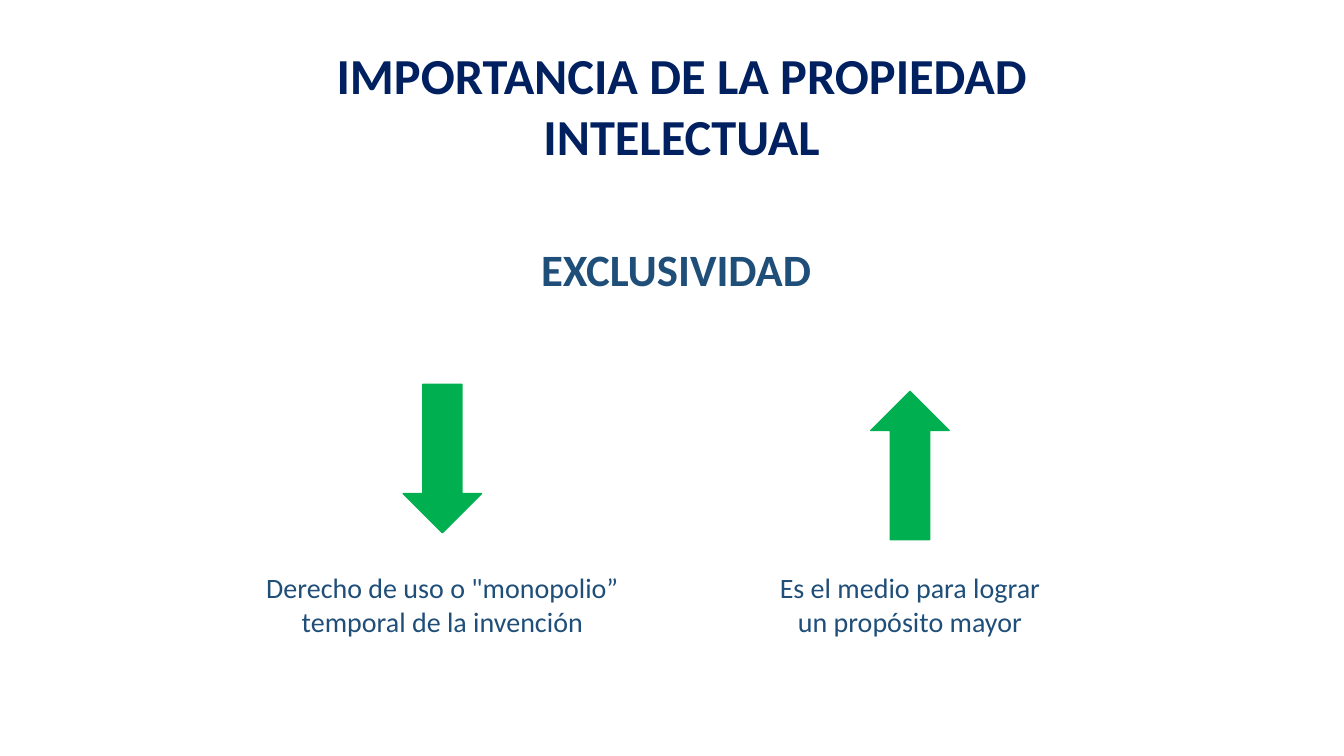
from dataclasses import dataclass

from pptx import Presentation
from pptx.dml.color import RGBColor
from pptx.enum.shapes import MSO_SHAPE
from pptx.enum.text import MSO_ANCHOR, PP_ALIGN
from pptx.util import Pt


@dataclass(frozen=True)
class Theme:
    font: str = "Calibri"
    navy: RGBColor = RGBColor(0x00, 0x20, 0x60)
    blue: RGBColor = RGBColor(0x1F, 0x4E, 0x79)
    green: RGBColor = RGBColor(0x00, 0xB0, 0x50)
    title_size: int = 36
    heading_size: int = 32
    body_size: int = 20


THEME = Theme()
ARROW_WIDTH, ARROW_HEIGHT = 56, 106
CAPTION_TOP, CAPTION_HEIGHT = 404, 55.5

# Centre, arrow top, arrow rotation, caption width, caption
IDEAS = [
    (316, 274.5, 0, 274, 'Derecho de uso o "monopolio” temporal de la invención'),
    (650, 279.5, 180, 209, "Es el medio para lograr un propósito mayor"),
]


def place(shape, left, top, width, height):
    box = {"left": left, "top": top, "width": width, "height": height}
    for name, value in box.items():
        setattr(shape, name, Pt(value))


def write_centred(shape, text, size, color, bold=False):
    frame = shape.text_frame
    frame.word_wrap = True
    frame.vertical_anchor = MSO_ANCHOR.TOP
    frame.text = text
    paragraph = frame.paragraphs[0]
    paragraph.alignment = PP_ALIGN.CENTER
    font_format = {"name": THEME.font, "size": Pt(size), "bold": bold}
    for name, value in font_format.items():
        setattr(paragraph.font, name, value)
    paragraph.font.color.rgb = color


def add_text(slide, box, text, size, color, bold=False):
    shape = slide.shapes.add_textbox(*map(Pt, box))
    write_centred(shape, text, size, color, bold)


def add_arrow(slide, centre, top, rotation):
    box = (centre - ARROW_WIDTH / 2, top, ARROW_WIDTH, ARROW_HEIGHT)
    arrow = slide.shapes.add_shape(MSO_SHAPE.DOWN_ARROW, *map(Pt, box))
    arrow.rotation = rotation
    arrow.shadow.inherit = False
    arrow.fill.solid()
    arrow.fill.fore_color.rgb = THEME.green
    arrow.line.color.rgb = THEME.green
    arrow.line.width = Pt(1)


def main():
    presentation = Presentation()
    presentation.slide_width, presentation.slide_height = Pt(960), Pt(540)
    slide = presentation.slides.add_slide(presentation.slide_layouts[5])

    title = slide.shapes.title
    place(title, 148.5, 28, 677, 94.5)
    write_centred(title, "IMPORTANCIA DE LA PROPIEDAD INTELECTUAL",
                  THEME.title_size, THEME.navy, bold=True)
    add_text(slide, (211, 169, 544, 46), "EXCLUSIVIDAD",
             THEME.heading_size, THEME.blue, bold=True)

    for centre, arrow_top, rotation, width, caption in IDEAS:
        add_arrow(slide, centre, arrow_top, rotation)
        box = (centre - width / 2, CAPTION_TOP, width, CAPTION_HEIGHT)
        add_text(slide, box, caption, THEME.body_size, THEME.blue)

    presentation.save("out.pptx")


if __name__ == "__main__":
    main()
